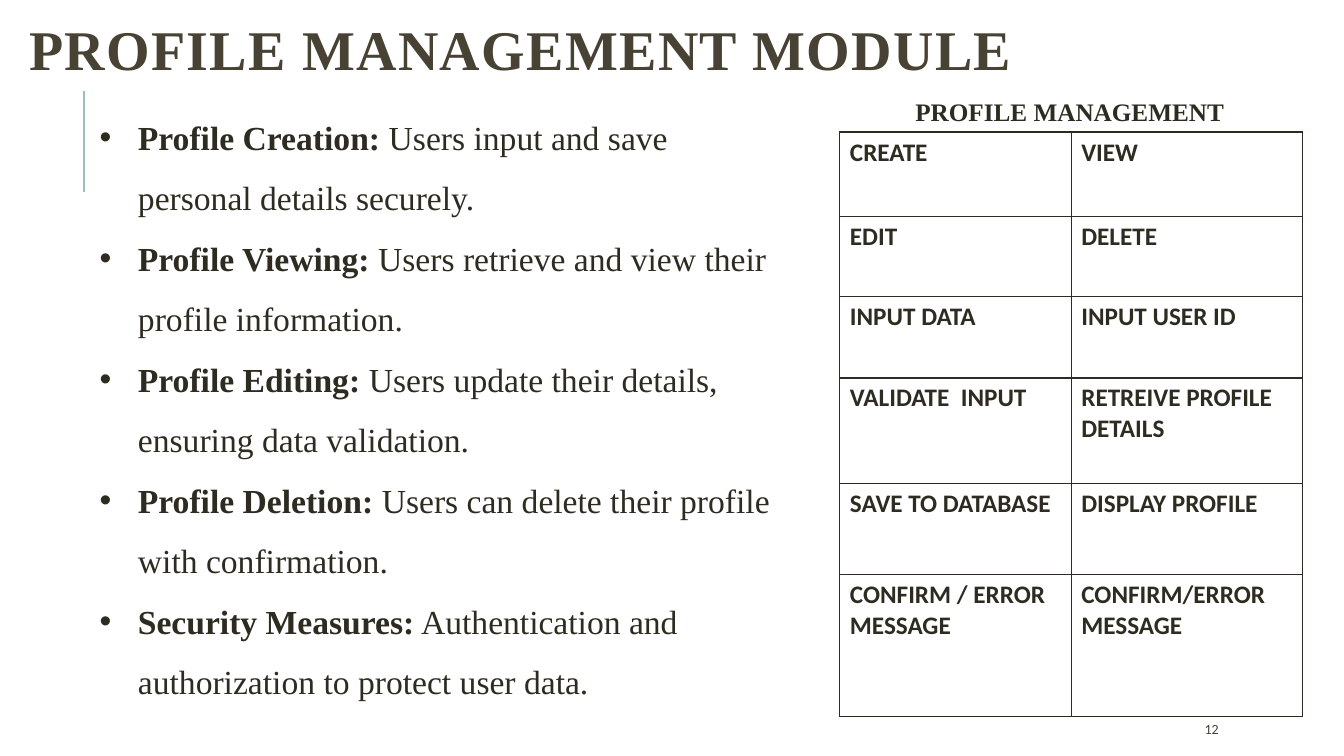
from dataclasses import dataclass

from lxml import etree
from pptx import Presentation
from pptx import util as u
from pptx.dml.color import RGBColor
from pptx.enum import shapes, text
from pptx.oxml import ns


@dataclass(frozen=True)
class Theme:
    serif: str = "Times New Roman"
    sans: str = "Calibri"
    ink: str = "2E2B21"
    heading: str = "474233"
    accent: str = "9CBEBD"
    title: int = 40
    body: int = 24
    label: int = 18
    number: int = 10
    rule: float = 1.5
    border: float = 1


@dataclass(frozen=True)
class Box:
    left: float
    top: float
    width: float
    height: float

    def emu(self) -> tuple:
        return tuple(u.Inches(v) for v in (self.left, self.top, self.width, self.height))


@dataclass(frozen=True)
class Feature:
    name: str
    detail: str


@dataclass(frozen=True)
class Step:
    height: float
    editing: str
    viewing: str


THEME = Theme()
TITLE = Box(0.19, 0.03, 12.19, 1.01)
BODY = Box(0.89, 0.91, 6.93, 7.17)
CAPTION = Box(8.98, 0.91, 3.29, 0.4)
TABLE = Box(8.33, 1.31, 4.59, 5.79)
NUMBER = Box(11.85, 7.08, 1.06, 0.3)
RULE = Box(0.83, 0.9, 0, 1)

FEATURES = [
    Feature("Profile Creation:", "Users input and save personal details securely."),
    Feature("Profile Viewing:", "Users retrieve and view their profile information."),
    Feature("Profile Editing:", "Users update their details, ensuring data validation."),
    Feature("Profile Deletion:", "Users can delete their profile with confirmation."),
    Feature("Security Measures:", "Authentication and authorization to protect user data."),
]
STEPS = [
    Step(0.84, "CREATE", "VIEW"),
    Step(0.79, "EDIT", "DELETE"),
    Step(0.81, "INPUT DATA", "INPUT USER ID"),
    Step(1.05, "VALIDATE  INPUT", "RETREIVE PROFILE DETAILS"),
    Step(0.9, "SAVE TO DATABASE", "DISPLAY PROFILE"),
    Step(1.41, "CONFIRM / ERROR MESSAGE", "CONFIRM/ERROR MESSAGE"),
]


def style(p, face: str, size: int, color: str, bold: bool | None = None) -> None:
    p.font.name = face
    p.font.size = u.Pt(size)
    p.font.color.rgb = RGBColor.from_string(color)
    p.font.bold = bold


def add_box(s, box: Box, anchor=text.MSO_ANCHOR.TOP, wrap: bool = True):
    tf = s.shapes.add_textbox(*box.emu()).text_frame
    tf.word_wrap = wrap
    tf.vertical_anchor = anchor
    return tf


def add_rule(s, box: Box) -> None:
    x, top, _, height = box.emu()
    line = s.shapes.add_connector(shapes.MSO_CONNECTOR.STRAIGHT, x, top + height, x, top)
    line.line.color.rgb = RGBColor.from_string(THEME.accent)
    line.line.width = u.Pt(THEME.rule)
    etree.SubElement(line.element.spPr, ns.qn("a:effectLst"))


def add_title(s, words: str) -> None:
    p = add_box(s, TITLE, text.MSO_ANCHOR.MIDDLE).paragraphs[0]
    p.line_spacing = 0.8
    r = p.add_run()
    r.text = words
    style(p, THEME.serif, THEME.title, THEME.heading, True)
    r.font.bold = True
    r.font._element.set("spc", "100")


def add_features(s, features: list[Feature]) -> None:
    tf = add_box(s, BODY)
    for i, feature in enumerate(features):
        p = tf.paragraphs[0] if i == 0 else tf.add_paragraph()
        p.line_spacing = 1.5
        style(p, THEME.serif, THEME.body, THEME.ink)
        pPr = p._p.get_or_add_pPr()
        indent = u.Inches(0.38)
        pPr.set("marL", str(indent))
        pPr.set("indent", str(-indent))
        bullet_font = etree.Element(ns.qn("a:buFont"), typeface="Arial")
        bullet = etree.Element(ns.qn("a:buChar"), char="•")
        pPr.find(ns.qn("a:lnSpc")).addnext(bullet_font)
        bullet_font.addnext(bullet)
        for words, bold in ((feature.name, True), (f" {feature.detail}", False)):
            r = p.add_run()
            r.text = words
            r.font.bold = bold


def add_borders(cell) -> None:
    tcPr = cell._tc.get_or_add_tcPr()
    for i, side in enumerate(("lnL", "lnR", "lnT", "lnB")):
        line = etree.Element(ns.qn(f"a:{side}"), w=str(u.Pt(THEME.border)))
        fill = etree.SubElement(line, ns.qn("a:solidFill"))
        etree.SubElement(fill, ns.qn("a:srgbClr"), val=THEME.ink)
        tcPr.insert(i, line)


def add_steps(s, steps: list[Step]) -> None:
    table = s.shapes.add_table(len(steps), 2, *TABLE.emu()).table
    table.first_row = table.horz_banding = False
    for column in table.columns:
        column.width = u.Inches(TABLE.width / 2)
    for row, step in zip(table.rows, steps):
        row.height = u.Inches(step.height)
        for cell, words in zip(row.cells, (step.editing, step.viewing)):
            cell.text = words
            style(cell.text_frame.paragraphs[0], THEME.sans, THEME.label, THEME.ink, True)
            cell.fill.background()
            add_borders(cell)


def add_line(s, box: Box, words: str, face: str, size: int, color: str,
             bold: bool, anchor, wrap: bool) -> None:
    p = add_box(s, box, anchor, wrap).paragraphs[0]
    p.text = words
    style(p, face, size, color, bold)


def main() -> None:
    prs = Presentation()
    prs.slide_width, prs.slide_height = u.Inches(13.33), u.Inches(7.5)
    s = prs.slides.add_slide(prs.slide_layouts[6])
    add_rule(s, RULE)
    add_line(s, NUMBER, "12", THEME.sans, THEME.number, THEME.heading,
             False, text.MSO_ANCHOR.MIDDLE, True)
    add_title(s, "PROFILE MANAGEMENT MODULE")
    add_features(s, FEATURES)
    add_steps(s, STEPS)
    add_line(s, CAPTION, "PROFILE MANAGEMENT", THEME.serif, THEME.label, THEME.ink,
             True, text.MSO_ANCHOR.TOP, False)
    prs.save("out.pptx")


if __name__ == "__main__":
    main()
